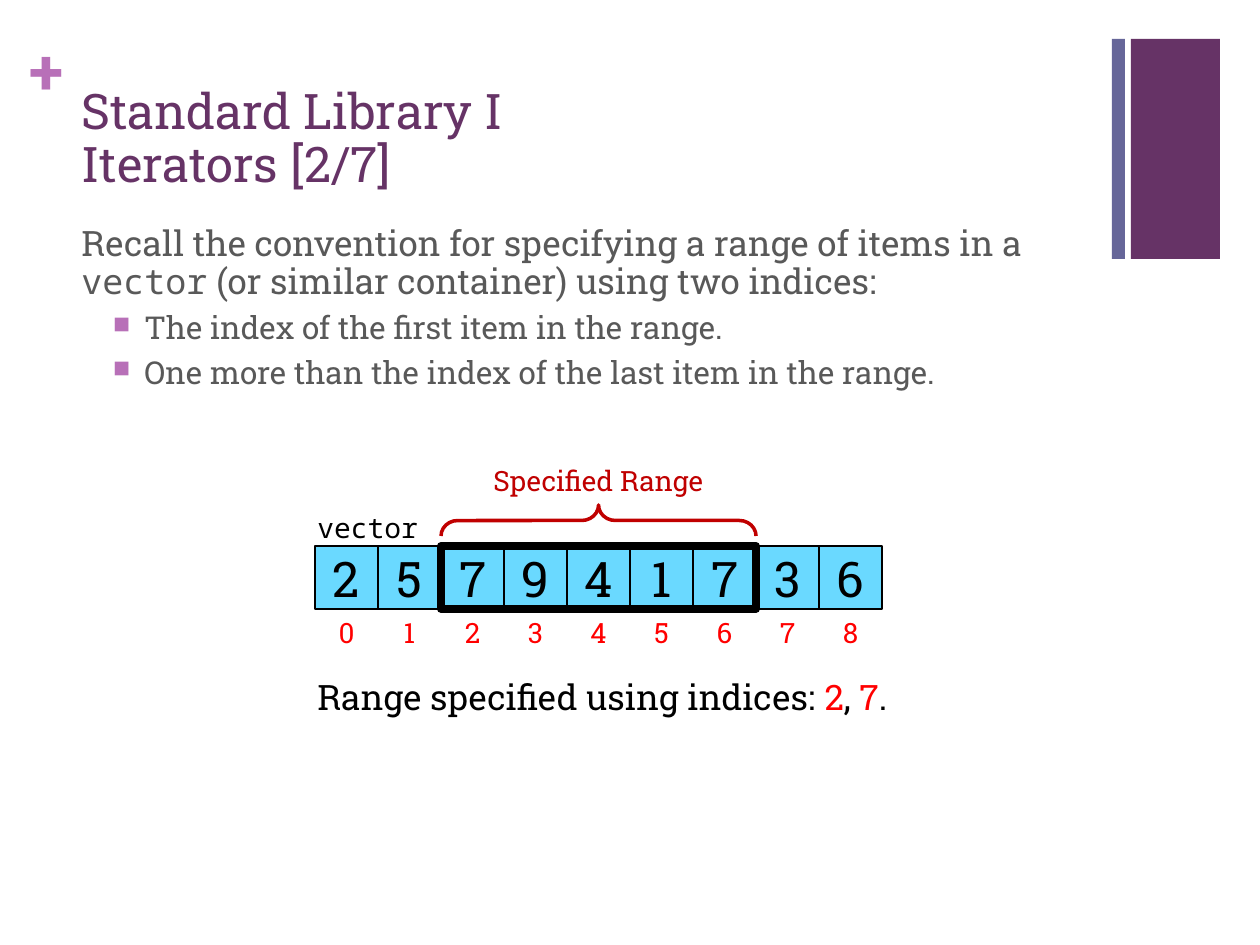
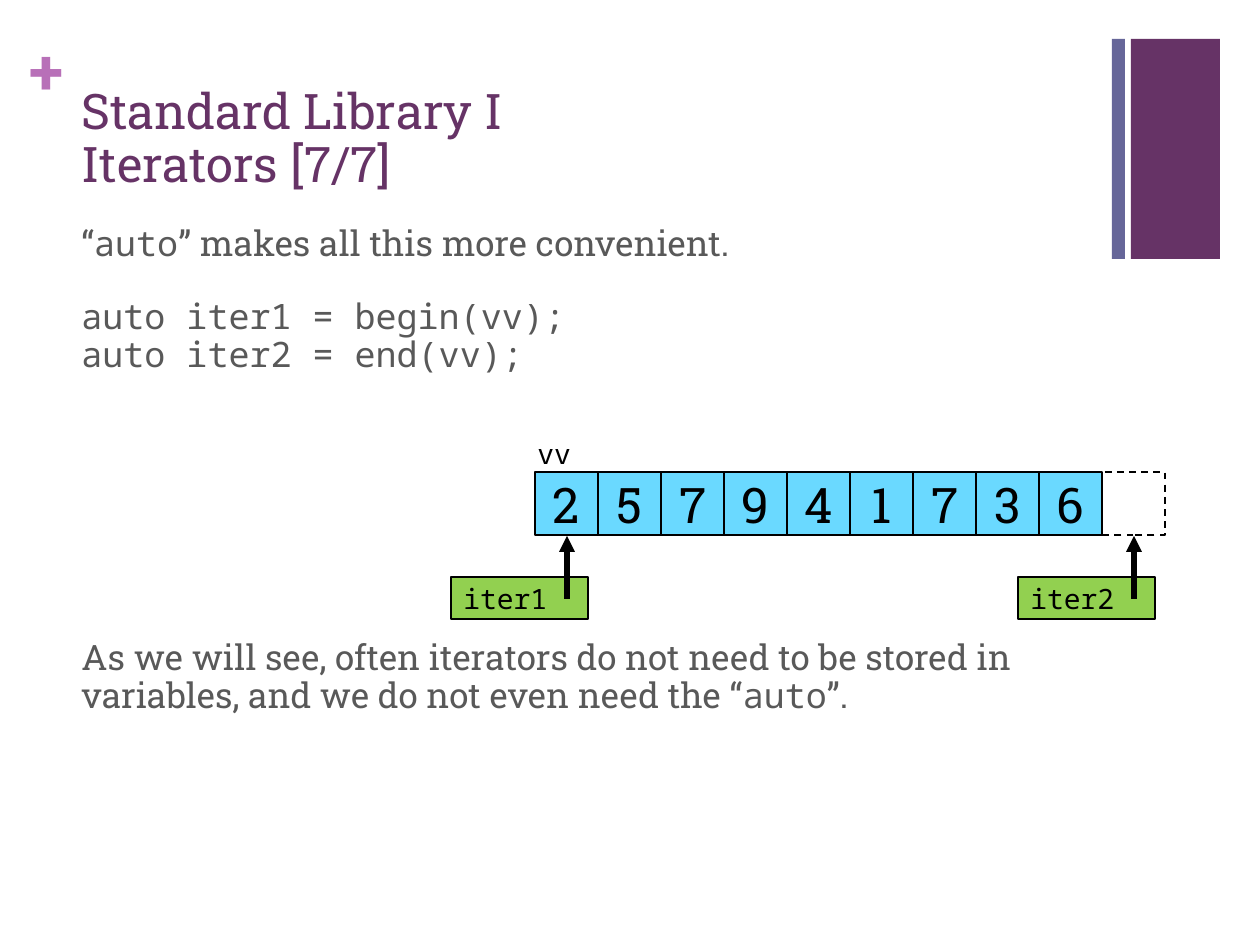
from lxml.etree import SubElement
from pptx import Presentation
from pptx.dml.color import RGBColor
from pptx.enum.dml import MSO_LINE
from pptx.enum.shapes import MSO_CONNECTOR, MSO_SHAPE
from pptx.enum.text import MSO_ANCHOR, PP_ALIGN
from pptx.oxml.ns import qn
from pptx.util import Inches, Pt

SLAB, MONO = "Roboto Slab", "Noto Sans Mono"
PLUM, SLATE, ORCHID, GRAY = "663366", "666699", "B870B8", "595959"
BLACK, RED, CRIMSON = "000000", "FF0000", "C00000"
SKY, GREEN = "6AD9FF", "92D050"
CELL = 63
ITEMS = "257941736"


def px(num):
    return round(num * Inches(1) / 126)


def color(code):
    return RGBColor.from_string(code)


class Deck:
    def __init__(self):
        self.prs = Presentation()
        self.prs.slide_width, self.prs.slide_height = px(1260), px(945)

    def page(self, title):
        self.slide = self.prs.slides.add_slide(self.prs.slide_layouts[6])
        self.shape(1131, 39, 89, 220, fill=PLUM)
        plus = self.text(30, 32, 37, 77, ["+"], size=36, tint=ORCHID, inset=0)
        plus.paragraphs[0].font.bold = True
        self.shape(1112, 39, 13, 220, fill=SLATE)
        head = self.text(69, 67, 1041, 132, ["Standard Library I\n" + title],
                         size=28, tint=PLUM, lead=0.9)
        head.vertical_anchor = MSO_ANCHOR.BOTTOM

    def typeset(self, para, runs, size=16, tint=BLACK, face=SLAB, align=PP_ALIGN.LEFT,
                lead=None, gap=0, bullet=False):
        if bullet:
            self.bullet(para)
        para.alignment, para.line_spacing, para.space_before = align, lead, Pt(gap)
        font = para.font
        font.size, font.name, font.color.rgb = Pt(size), face, color(tint)
        for part in runs:
            words, look = (part, {}) if isinstance(part, str) else part
            for row, line in enumerate(words.split("\n")):
                if row:
                    para.add_line_break()
                run = para.add_run()
                run.text = line
                if "face" in look:
                    run.font.name = look["face"]
                if "tint" in look:
                    run.font.color.rgb = color(look["tint"])

    def bullet(self, para):
        props = para._p.get_or_add_pPr()
        props.set("marL", str(Inches(0.5)))
        props.set("indent", str(Inches(-0.25)))
        tint = SubElement(props, qn("a:buClr"))
        SubElement(tint, qn("a:srgbClr"), val=ORCHID)
        SubElement(props, qn("a:buSzPct"), val="75000")
        SubElement(props, qn("a:buChar"), char="\u25a0")

    def text(self, left, top, wide, high, runs, inset=None, **style):
        frame = self.slide.shapes.add_textbox(px(left), px(top), px(wide), px(high)).text_frame
        frame.word_wrap = True
        if inset is not None:
            frame.margin_left = frame.margin_right = inset
            frame.margin_top = frame.margin_bottom = inset
        self.typeset(frame.paragraphs[0], runs, **style)
        return frame

    def body(self, first, *rest):
        base = dict(size=20, tint=GRAY, lead=0.9, gap=20)
        frame = self.text(69, 220, 1041, 651, first, **base)
        for runs, style in rest:
            self.typeset(frame.add_paragraph(), runs, **{**base, **style})

    def shape(self, left, top, wide, high, kind=MSO_SHAPE.RECTANGLE, fill=None,
              line=None, width=1, dash=False, label=None, **style):
        item = self.slide.shapes.add_shape(kind, px(left), px(top), px(wide), px(high))
        item.shadow.inherit = False
        if fill:
            item.fill.solid()
            item.fill.fore_color.rgb = color(fill)
        else:
            item.fill.background()
        if line:
            item.line.color.rgb, item.line.width = color(line), Pt(width)
            if dash:
                item.line.dash_style = MSO_LINE.DASH
        else:
            item.line.fill.background()
        if label:
            frame = item.text_frame
            frame.vertical_anchor = MSO_ANCHOR.MIDDLE
            self.typeset(frame.paragraphs[0], [label], **style)
        return item

    def array(self, left, top, name):
        for spot, item in enumerate(ITEMS):
            self.shape(left + spot * CELL, top, CELL, CELL, fill=SKY, line=BLACK,
                       label=item, size=28, align=PP_ALIGN.CENTER)
        self.text(left - 10, top - 42, 315, 47, [name], face=MONO)

    def arrow(self, x, start, end):
        link = self.slide.shapes.add_connector(
            MSO_CONNECTOR.STRAIGHT, px(x), px(start), px(x), px(end))
        link.line.color.rgb, link.line.width = color(BLACK), Pt(3)
        props = link._element.spPr
        SubElement(props.find(qn("a:ln")), qn("a:tailEnd"), type="triangle")
        SubElement(props, qn("a:effectLst"))

    def pointer(self, x, name):
        self.shape(x - 116, 577, 137, 42, fill=GREEN, line=BLACK, label=name, face=MONO)
        self.arrow(x, 599, 536)


deck = Deck()
code = dict(face=MONO)
red = dict(tint=RED)
mid = PP_ALIGN.CENTER

deck.page("Iterators [2/7]")
point = dict(size=18, gap=6, bullet=True)
deck.body(
    ["Recall the convention for specifying a range of items in a ", ("vector", code),
     " (or similar container) using two indices:"],
    (["The index of the first item in the range."], point),
    (["One more than the index of the last item in the range."], point))
left, top = 315, 546
deck.array(left, top, "vector")
for spot in range(len(ITEMS)):
    deck.text(left + spot * CELL, top + CELL, CELL, 47, [str(spot)], tint=RED, align=mid)
start, span = left + 2 * CELL, 5 * CELL
deck.shape(start, top, span, CELL, line=BLACK, width=4.5)
deck.text(305, 669, 599, 55,
          ["Range specified using indices: ", ("2", red), ", ", ("7", red), "."], size=20)
deck.text(start, 457, span, 47, ["Specified Range"], tint=CRIMSON, align=mid)
brace = deck.shape(583, 363, 31, span, MSO_SHAPE.LEFT_BRACE, line=CRIMSON, width=2)
brace.rotation = 90
brace.adjustments[0], brace.adjustments[1] = 0.54, 0.5

deck.page("Iterators [7/7]")
deck.body(
    ["\u201c", ("auto", code), "\u201d makes all this more convenient."],
    (["auto iter1 = begin(vv);\nauto iter2 = end(vv);"], code),
    (["As we will see, often iterators do not need to be stored in variables, "
      "and we do not even need the \u201c", ("auto", code), "\u201d."], dict(gap=152)))
left, top = 535, 472
deck.array(left, top, "vv")
past = left + len(ITEMS) * CELL
deck.shape(past, top, CELL, CELL, line=BLACK, dash=True)
for x, name in (left, "iter1"), (past, "iter2"):
    deck.pointer(x + 32, name)

deck.prs.save("out.pptx")
